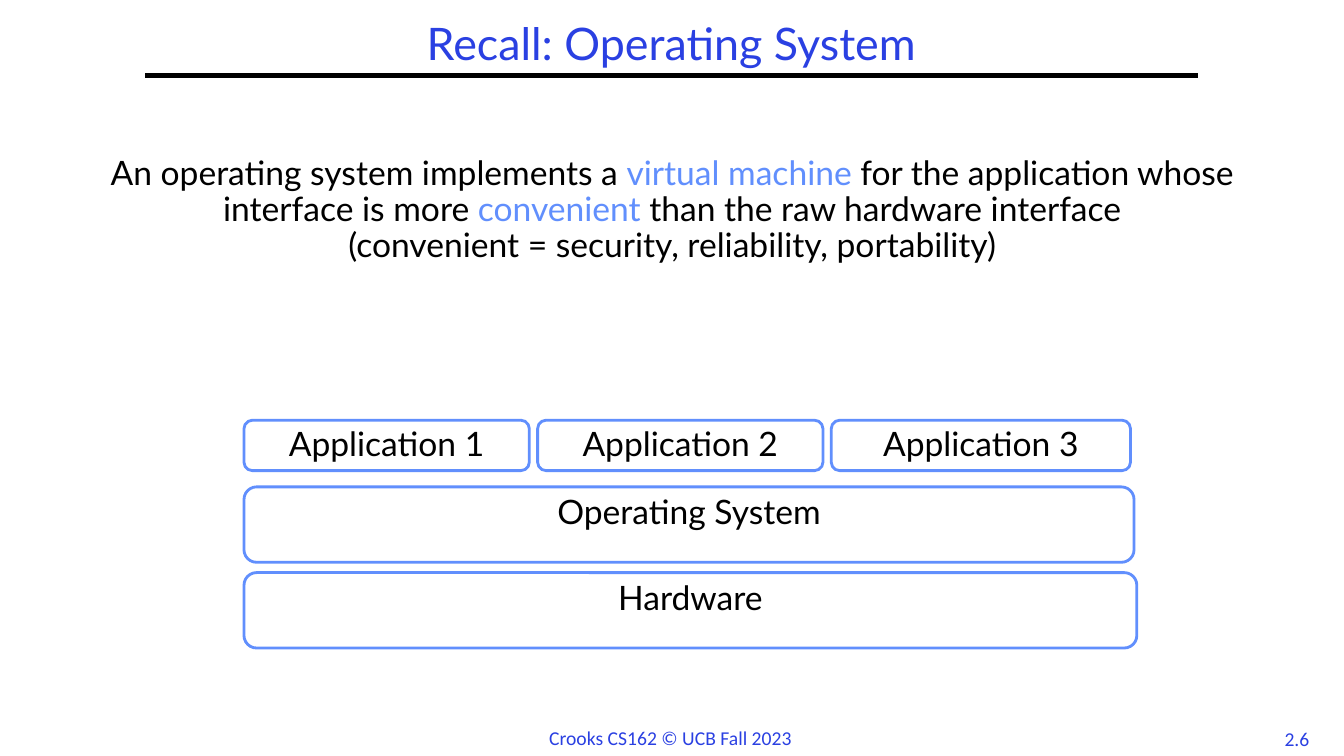
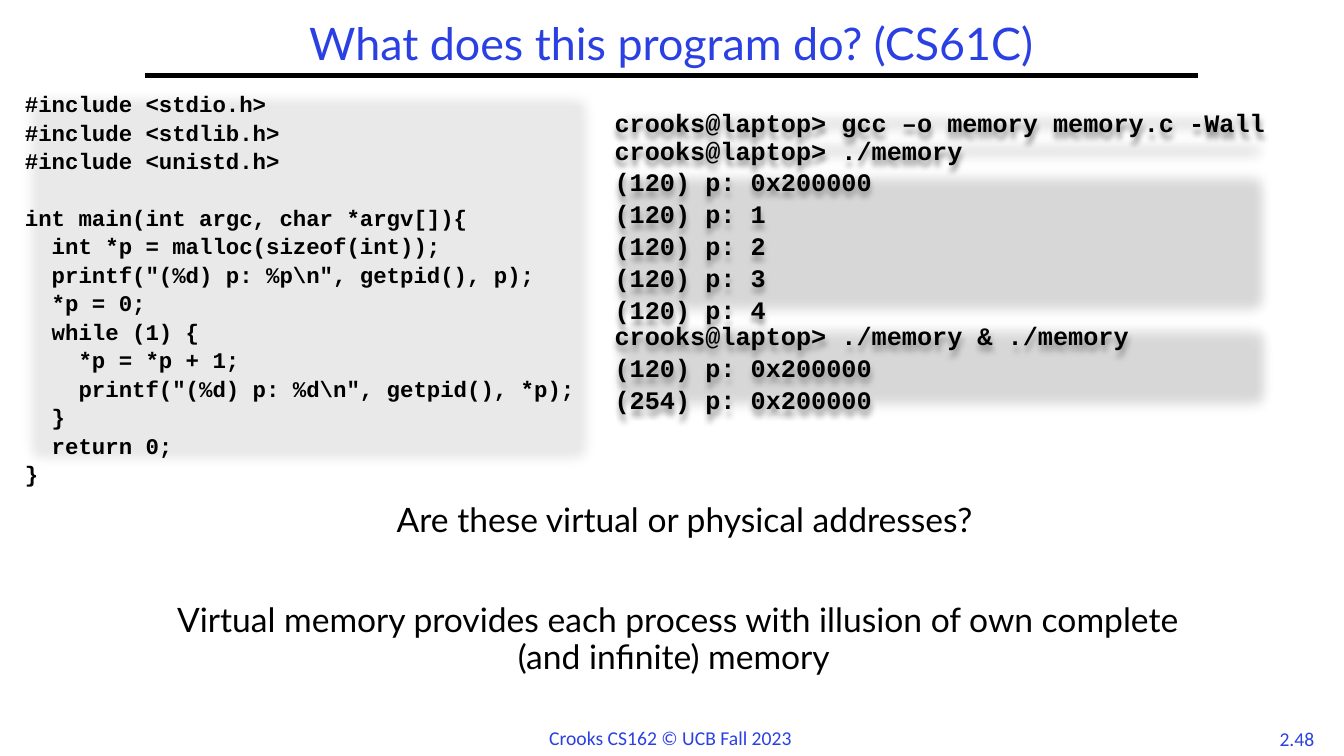
from lxml import etree
from pptx import Presentation
from pptx.dml.color import RGBColor
from pptx.enum.shapes import MSO_CONNECTOR, MSO_SHAPE
from pptx.enum.text import MSO_ANCHOR as Anchor, PP_ALIGN as Align
from pptx.oxml.ns import qn
from pptx.util import Cm, Pt

BLUE, ACCENT, BLACK, WHITE, GREY = "2A40E2", "618FFD", "000000", "FFFFFF", "919191"
BODY_FONT, FOOTER_FONT, CODE_FONT = "Lato", "Calibri", "Courier New"


def color(hex_code):
    return RGBColor.from_string(hex_code)


def write(shape, lines, size=24, font=BODY_FONT, ink=BLACK, align=Align.CENTER,
          spacing=0.9, anchor=Anchor.TOP, wrap=True, bold=False):
    frame = shape.text_frame
    frame.word_wrap = wrap
    frame.vertical_anchor = anchor
    for index, line in enumerate(lines):
        paragraph = frame.add_paragraph() if index else frame.paragraphs[0]
        paragraph.text = line
        paragraph.alignment = align
        paragraph.line_spacing = spacing
        paragraph.font.size = Pt(size)
        paragraph.font.name = font
        paragraph.font.bold = bold
        paragraph.font.color.rgb = color(ink)
    return frame


deck = Presentation()
deck.slide_width, deck.slide_height = Cm(33.87), Cm(19.05)

# Shared parts: title, rule, footer, page number
slides = []
for title_text, page in [("Recall: Operating System", "2.6"),
                         ("What does this program do? (CS61C)", "2.48")]:
    slide = deck.slides.add_slide(deck.slide_layouts[6])
    number = slide.shapes.add_textbox(Cm(31.95), Cm(18.19), Cm(1.47), Cm(0.84))
    write(number, [page], 14, FOOTER_FONT, BLUE, spacing=1.0, wrap=False)
    rule = slide.shapes.add_connector(MSO_CONNECTOR.STRAIGHT, Cm(3.66), Cm(1.9), Cm(30.2), Cm(1.9))
    rule.line.color.rgb = color(BLACK)
    rule.line.width = Pt(3)
    etree.SubElement(rule._element.spPr, qn("a:effectLst"))
    footer = slide.shapes.add_textbox(Cm(13.59), Cm(18.16), Cm(6.68), Cm(0.86))
    write(footer, ["Crooks CS162 © UCB Fall 2023"], 14, FOOTER_FONT, BLUE,
          Align.LEFT, spacing=1.0, wrap=False)
    title = slide.shapes.add_textbox(Cm(3.66), Cm(0.43), Cm(26.52), Cm(1.47))
    write(title, [title_text], 32, ink=BLUE, anchor=Anchor.MIDDLE)
    slides.append(slide)
recall_slide, program_slide = slides

# Layers of the system
STACK_LEFT, APP_PITCH, APP_TOP = 6.15, 7.4, 10.59
layers = [(f"Application {i + 1}", STACK_LEFT + i * APP_PITCH, APP_TOP, width, 1.27)
          for i, width in enumerate([7.19, 7.19, 7.54])]
layers += [("Operating System", STACK_LEFT, 12.27, 22.43, 1.9),
           ("Hardware", STACK_LEFT, 14.43, 22.5, 1.9)]
for label, *place in layers:
    layer = recall_slide.shapes.add_shape(MSO_SHAPE.ROUNDED_RECTANGLE, *map(Cm, place))
    layer.shadow.inherit = False
    layer.fill.solid()
    layer.fill.fore_color.rgb = color(WHITE)
    layer.line.color.rgb = color(ACCENT)
    layer.line.width = Pt(2)
    write(layer, [label])

# Definition with highlighted terms
definition = recall_slide.shapes.add_textbox(Cm(2.26), Cm(3.81), Cm(29.36), Cm(12.9))
sentence = write(definition, [""]).paragraphs[0]
for words, ink in [("An operating system implements a ", BLACK),
                   ("virtual machine ", ACCENT),
                   ("for the application whose interface is more ", BLACK),
                   ("convenient", ACCENT),
                   (" than the raw hardware interface", BLACK)]:
    run = sentence.add_run()
    run.text = words
    run.font.color.rgb = color(ink)
sentence.add_line_break()
sentence.add_run().text = "(convenient = security, reliability, portability)"

# Program listing and terminal output
program = r'''#include <stdio.h>
#include <stdlib.h>
#include <unistd.h>

int main(int argc, char *argv[]){
  int *p = malloc(sizeof(int));
  printf("(%d) p: %p\n", getpid(), p);
  *p = 0;
  while (1) {
    *p = *p + 1;
    printf("(%d) p: %d\n", getpid(), *p);
  }
  return 0;
}'''.split("\n")
first_run = ["(120) p: 0x200000"] + [f"(120) p: {count}" for count in range(1, 5)]
both_runs = ["crooks@laptop> ./memory & ./memory", "(120) p: 0x200000", "(254) p: 0x200000"]
TERMINAL_LEFT, TERMINAL_WIDTH = 15.24, 16.97
panels = [
    (["crooks@laptop> gcc –o memory memory.c -Wall"], 18, TERMINAL_LEFT, 2.54, TERMINAL_WIDTH, 1.02),
    (program, 16, 0.38, 2.11, 14.78, 9.83),
    (["crooks@laptop> ./memory"], 18, TERMINAL_LEFT, 3.23, TERMINAL_WIDTH, 1.02),
    (both_runs, 18, TERMINAL_LEFT, 7.9, TERMINAL_WIDTH, 2.57),
    (first_run, 18, TERMINAL_LEFT, 4.01, TERMINAL_WIDTH, 4.11),
]
for lines, size, *place in panels:
    panel = program_slide.shapes.add_shape(MSO_SHAPE.RECTANGLE, *map(Cm, place))
    panel.fill.solid()
    panel.fill.fore_color.rgb = color(GREY)
    panel.line.fill.background()
    panel.shadow.inherit = False
    properties = panel._element.spPr
    tint = properties.find(qn("a:solidFill"))[0]
    etree.SubElement(tint, qn("a:alpha"), val="20000")
    # Soft edges on all panels, a drop shadow on the terminal ones
    effects = properties.find(qn("a:effectLst"))
    if lines is not program:
        drop = etree.SubElement(effects, qn("a:outerShdw"), blurRad=str(Pt(4)), dist=str(Pt(4)),
                                dir="5400000", rotWithShape="0")
        shade = etree.SubElement(drop, qn("a:srgbClr"), val=BLACK)
        etree.SubElement(shade, qn("a:alpha"), val="43000")
    etree.SubElement(effects, qn("a:softEdge"), rad="112500")
    write(panel, lines, size, CODE_FONT, align=Align.LEFT, spacing=1.06, bold=True)

# Question and answer
for text, left, top in [
    ("Are these virtual or physical addresses? ", 4.24, 12.57),
    ("Virtual memory provides each process with illusion of own complete "
     "(and infinite) memory ", 3.96, 15.09),
]:
    remark = program_slide.shapes.add_textbox(Cm(left), Cm(top), Cm(26.24), Cm(2.36))
    write(remark, [text])

deck.save("out.pptx")
